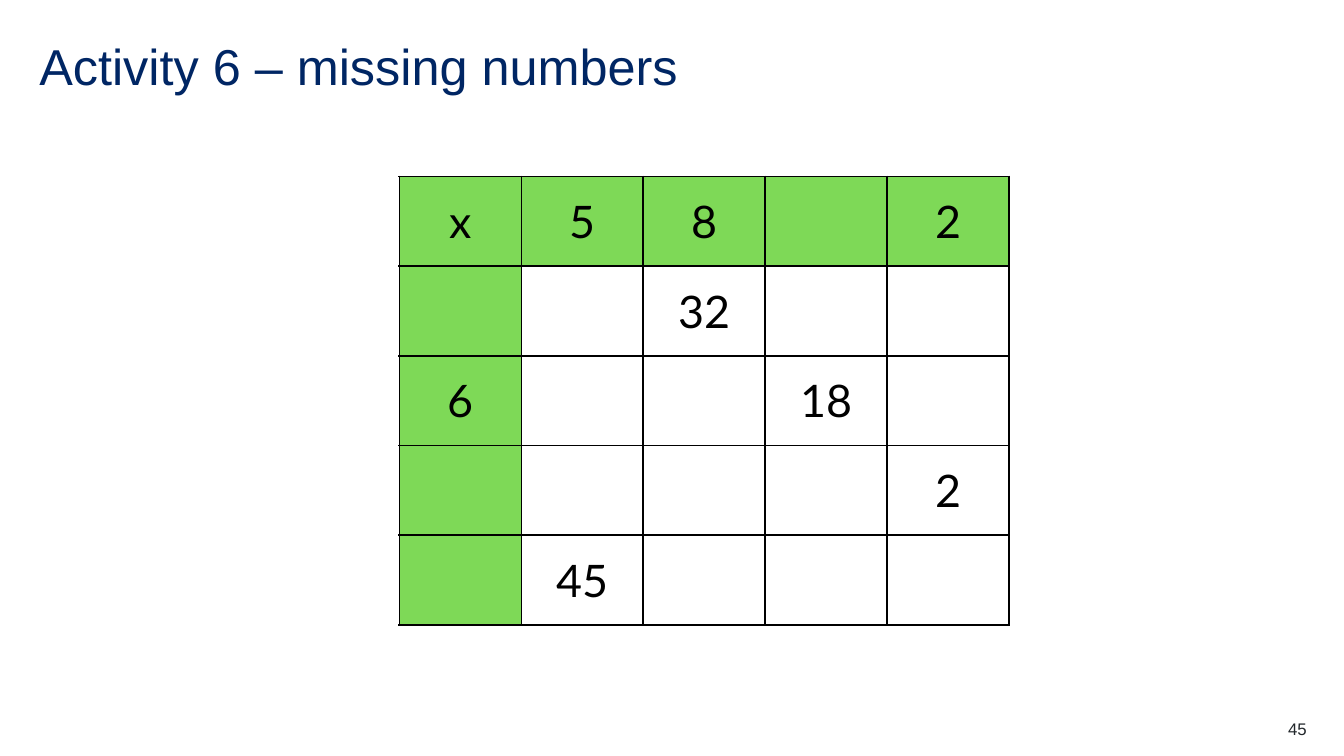
from lxml import etree
from pptx import Presentation
from pptx import util as u
from pptx.dml.color import RGBColor
from pptx.enum import text
from pptx.oxml.ns import qn

NAVY, INK, BLACK, GREEN = "002664", "22272B", "000000", "7ED957"
PRODUCTS = [
    ["x", "5", "8", "", "2"],
    ["", "", "32", "", ""],
    ["6", "", "", "18", ""],
    ["", "", "", "", "2"],
    ["", "45", "", "", ""],
]


def colour(value):
    return RGBColor.from_string(value)


class SlideBuilder:
    def __init__(self, slide):
        self.slide = slide
        self.title = {"name": "Arial", "size": u.Pt(36), "color": NAVY}
        self.footer = {"name": "Arial", "size": u.Pt(12), "color": INK}
        self.number = {"name": "Lato", "size": u.Pt(32), "color": BLACK}

    def set_words(self, frame, words, style, **layout):
        """Fill the first paragraph; layout holds paragraph attributes."""
        paragraph = frame.paragraphs[0]
        for key, value in layout.items():
            setattr(paragraph, key, value)
        run = paragraph.add_run()
        run.text = words
        for key, value in style.items():
            if key == "color":
                run.font.color.rgb = colour(value)
            else:
                setattr(run.font, key, value)

    def label(self, words, box, style, **layout):
        frame = self.slide.shapes.add_textbox(*map(u.Inches, box)).text_frame
        margins = dict.fromkeys(
            ("margin_left", "margin_top", "margin_right", "margin_bottom"), 0)
        settings = {"word_wrap": True, "vertical_anchor": text.MSO_ANCHOR.MIDDLE, **margins}
        for key, value in settings.items():
            setattr(frame, key, value)
        self.set_words(frame, words, style, **layout)

    def border(self, cell):
        properties = cell._tc.get_or_add_tcPr()
        for index, side in enumerate(("lnL", "lnR", "lnT", "lnB")):
            line = etree.Element(qn(f"a:{side}"), w=str(u.Pt(1.2)))
            fill = etree.SubElement(line, qn("a:solidFill"))
            etree.SubElement(fill, qn("a:srgbClr"), val=BLACK)
            properties.insert(index, line)

    def multiplication_grid(self, rows, left, top, cell_width, cell_height):
        """Draw the grid with its first row and first column shaded."""
        height, width = len(rows), len(rows[0])
        box = (left, top, width * cell_width, height * cell_height)
        table = self.slide.shapes.add_table(height, width, *map(u.Inches, box)).table
        table.first_row = table.horz_banding = False
        for column in table.columns:
            column.width = u.Inches(cell_width)
        for r, row in enumerate(rows):
            table.rows[r].height = u.Inches(cell_height)
            for c, number in enumerate(row):
                cell = table.cell(r, c)
                cell.vertical_anchor = text.MSO_ANCHOR.MIDDLE
                if r == 0 or c == 0:
                    cell.fill.solid()
                    cell.fill.fore_color.rgb = colour(GREEN)
                else:
                    cell.fill.background()
                self.border(cell)
                if number:
                    self.set_words(cell.text_frame, number, self.number,
                                   alignment=text.PP_ALIGN.CENTER,
                                   line_spacing=u.Pt(38.2))


def main():
    deck = Presentation()
    deck.slide_width, deck.slide_height = u.Inches(13.33), u.Inches(7.5)
    page = SlideBuilder(deck.slides.add_slide(deck.slide_layouts[6]))
    page.label("Activity 6 – missing numbers", (0.39, 0.39, 11.34, 0.6),
               page.title, line_spacing=0.9)
    page.label("45", (12.17, 7.13, 0.79, 0.2), page.footer,
               alignment=text.PP_ALIGN.RIGHT)
    page.multiplication_grid(PRODUCTS, 3.96, 1.75, 1.21, 0.89)
    deck.save("out.pptx")


if __name__ == "__main__":
    main()
